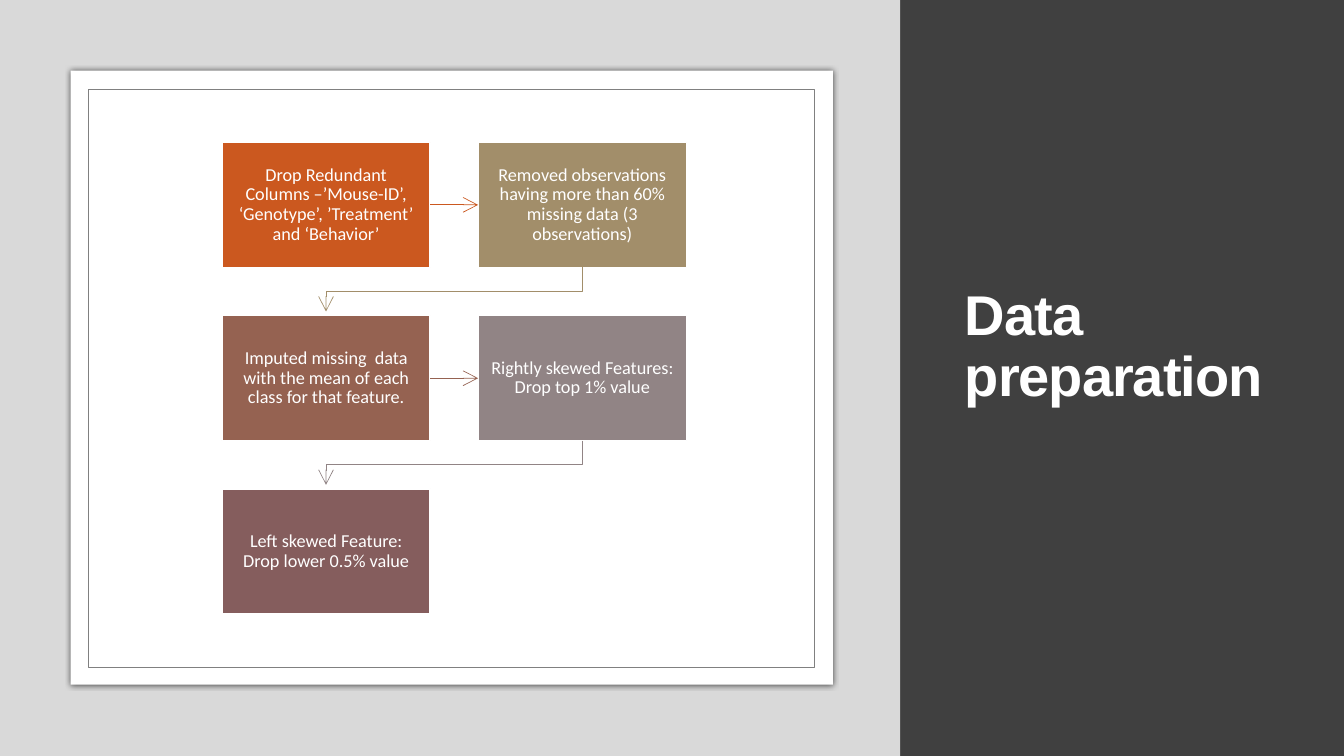
from lxml import etree
from pptx import Presentation
from pptx.dml.color import RGBColor
from pptx.enum.shapes import MSO_CONNECTOR, MSO_SHAPE
from pptx.enum.text import MSO_ANCHOR, MSO_AUTO_SIZE, PP_ALIGN
from pptx.oxml.ns import qn
from pptx.util import Pt

RECT, STRAIGHT = MSO_SHAPE.RECTANGLE, MSO_CONNECTOR.STRAIGHT
MIDDLE, NO_FIT = MSO_ANCHOR.MIDDLE, MSO_AUTO_SIZE.NONE
LEFT, CENTER = PP_ALIGN.LEFT, PP_ALIGN.CENTER

COLORS = {
    "white": "FFFFFF", "black": "000000", "dark": "404040", "panel": "D9D9D9",
    "frame": "808080", "orange": "CB581F", "sand": "A28E6A",
    "brown": "956251", "mauve": "918485", "plum": "855D5D",
}
STEPS = [
    ("orange", "Drop Redundant Columns –’Mouse-ID’, ‘Genotype’, ’Treatment’ and ‘Behavior’"),
    ("sand", "Removed observations having more than 60% missing data (3 observations)"),
    ("brown", "Imputed missing  data with the mean of each class for that feature."),
    ("mauve", "Rightly skewed Features: Drop top 1% value"),
    ("plum", "Left skewed Feature: Drop lower 0.5% value"),
]
COLUMNS = 2
STEP_LEFT, STEP_TOP, STEP_W, STEP_H = 158.5, 101.7, 148.8, 89.3
PITCH_X, PITCH_Y = 183, 123.8
ARROW_GAP = 3


class SlideBuilder:
    """Holds the slide and its style, and draws each kind of element."""

    def __init__(self, prs):
        self.slide = prs.slides.add_slide(prs.slide_layouts[5])
        self.shapes = self.slide.shapes

    def rgb(self, name):
        return RGBColor.from_string(COLORS[name])

    def add_text(self, sp, text, font, size, align, bold=False):
        tf = sp.text_frame
        tf.word_wrap = True
        tf.auto_size = NO_FIT
        tf.vertical_anchor = MIDDLE
        p = tf.paragraphs[0]
        p.alignment = align
        p.line_spacing = 0.9
        r = p.add_run()
        r.text = text
        r.font.name = font
        r.font.size = Pt(size)
        r.font.bold = bold
        r.font.color.rgb = self.rgb("white")
        return r

    def rect(self, x, y, w, h, fill, line=None, width=0.5):
        sp = self.shapes.add_shape(RECT, Pt(x), Pt(y), Pt(w), Pt(h))
        sp.shadow.inherit = False
        sp.fill.solid()
        sp.fill.fore_color.rgb = self.rgb(fill)
        if line:
            sp.line.color.rgb = self.rgb(line)
            sp.line.width = Pt(width)
        else:
            sp.line.fill.background()
        return sp

    def glow(self, sp, blur):
        effects = sp._element.spPr.find(qn("a:effectLst"))
        shadow = etree.SubElement(effects, qn("a:outerShdw"), blurRad=str(Pt(blur)),
                                  dist="0", algn="ctr", rotWithShape="0")
        color = etree.SubElement(shadow, qn("a:srgbClr"), val=COLORS["black"])
        etree.SubElement(color, qn("a:alpha"), val="66000")

    def title(self, x, y, w, h, text):
        sp = self.shapes.title
        sp.left, sp.top, sp.width, sp.height = Pt(x), Pt(y), Pt(w), Pt(h)
        r = self.add_text(sp, text, "Arial", 40, LEFT, True)
        r._r.get_or_add_rPr().set("spc", "-70")
        sp.text_frame.margin_bottom = Pt(46)
        self.shapes._spTree.append(sp._element)

    def step(self, x, y, fill, text):
        sp = self.rect(x, y, STEP_W, STEP_H, fill, "white", 1)
        self.add_text(sp, text, "Calibri", 13, CENTER)
        return sp

    def arrowhead(self, sp, color):
        sp.line.color.rgb = self.rgb(color)
        sp.line.width = Pt(0.5)
        etree.SubElement(sp.line._get_or_add_ln(), qn("a:tailEnd"),
                         type="arrow", w="lg", len="lg")

    def straight_arrow(self, start, end, color):
        sp = self.shapes.add_connector(STRAIGHT, 0, 0, 0, 0)
        sp.begin_connect(start, 3)
        sp.end_connect(end, 1)
        self.arrowhead(sp, color)
        etree.SubElement(sp._element.spPr, qn("a:effectLst"))

    def elbow_arrow(self, start, end, color):
        x1, y1 = start.left + start.width // 2, start.top + start.height
        x2, y2 = end.left + end.width // 2, end.top - Pt(ARROW_GAP)
        bend = (y1 + end.top) // 2
        outline = self.shapes.build_freeform(x1, y1)
        outline.add_line_segments([(x1, bend), (x2, bend), (x2, y2)], close=False)
        sp = outline.convert_to_shape()
        sp.shadow.inherit = False
        sp.fill.background()
        self.arrowhead(sp, color)


def main():
    prs = Presentation()
    prs.slide_width, prs.slide_height = Pt(960), Pt(540)
    s = SlideBuilder(prs)
    s.rect(0, 0, 960, 540, "dark")
    s.title(682, 50.5, 227.5, 438.5, "Data preparation")
    s.rect(0, 0, 643, 540, "panel")
    card = s.rect(50.5, 50.5, 544.5, 438.5, "white")
    s.glow(card, 4)
    s.rect(63.5, 64, 518.5, 412.5, "white", "frame")

    boxes = []
    for i, (color, text) in enumerate(STEPS):
        row, col = divmod(i, COLUMNS)
        boxes.append(s.step(STEP_LEFT + col * PITCH_X, STEP_TOP + row * PITCH_Y, color, text))
    for i, (start, end) in enumerate(zip(boxes, boxes[1:])):
        draw = s.elbow_arrow if (i + 1) % COLUMNS == 0 else s.straight_arrow
        draw(start, end, STEPS[i][0])
    prs.save("out.pptx")


if __name__ == "__main__":
    main()
